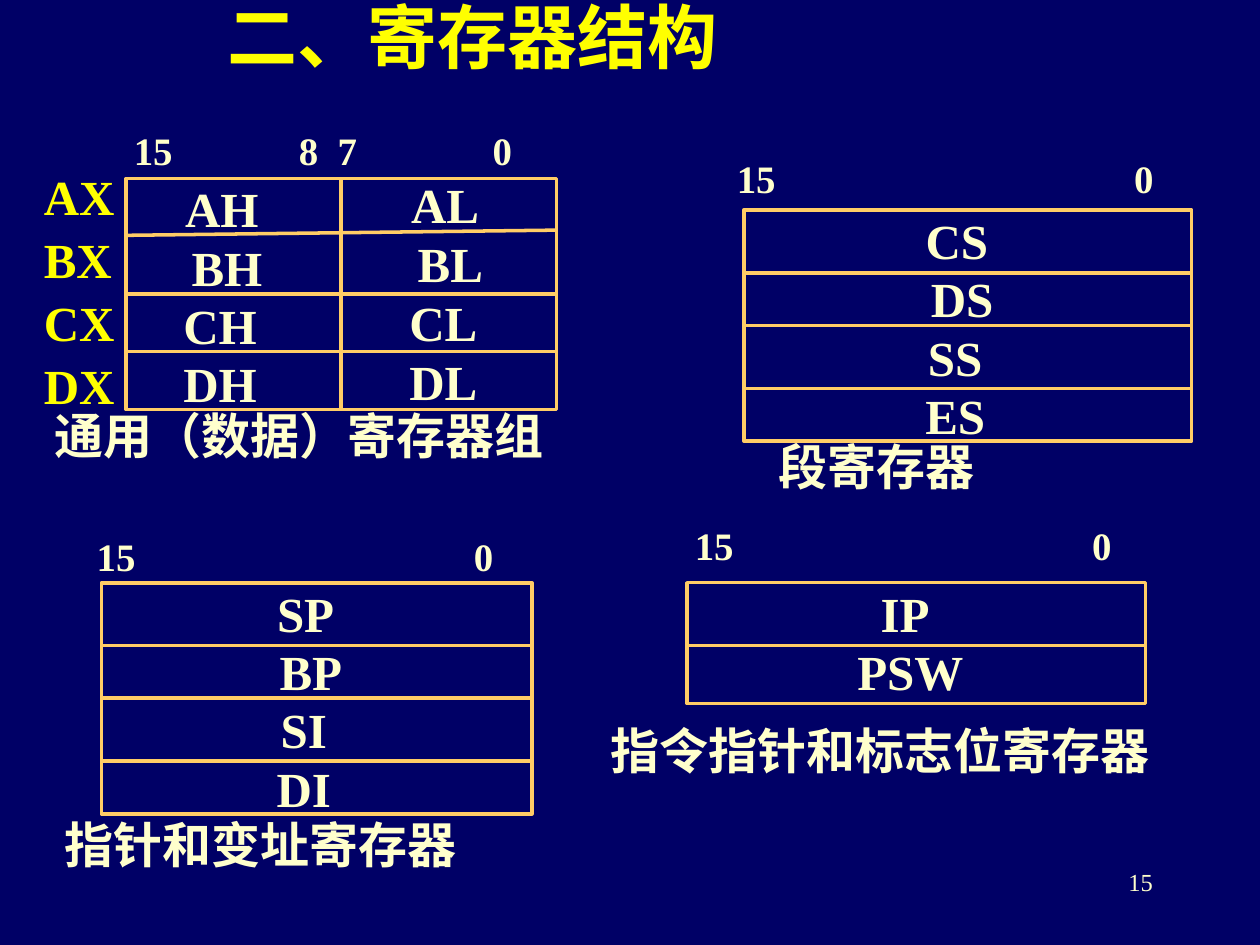
from pptx import Presentation
from pptx.dml.color import RGBColor
from pptx.enum.shapes import MSO_CONNECTOR as Link, MSO_SHAPE as Kind
from pptx.enum.text import MSO_ANCHOR as Anchor, MSO_AUTO_SIZE as Fit, PP_ALIGN as Align
from pptx.oxml.ns import qn
from pptx.util import Pt
from lxml.etree import SubElement

COLORS = {"back": "000066", "text": "FFFFCC", "head": "FFFF00", "line": "FFCC66"}
FONT = "Times New Roman"
PITCH = 33.3
SHIFTS = (0, 3, -1, -1)  # sideways offset of the name in each row


def color(name):
    return RGBColor.from_string(COLORS[name])


def write(frame, text, size=28, bold=True, tint="text", align=Align.LEFT,
          anchor=Anchor.TOP, wrap=True, lead=None, gap=0, tabs=()):
    """Fill a text frame, one paragraph for each line of text."""
    frame.word_wrap = wrap
    frame.auto_size = Fit.NONE
    frame.vertical_anchor = anchor
    for i, line in enumerate(text.split("\n")):
        para = frame.add_paragraph() if i else frame.paragraphs[0]
        para.text = line
        para.alignment = align
        if lead:
            para.line_spacing = lead
        para.space_before = Pt(gap if i else 0)
        if tabs:
            stops = SubElement(para._p.get_or_add_pPr(), qn("a:tabLst"))
            for pos in tabs:
                SubElement(stops, qn("a:tab"), pos=str(Pt(pos)), algn="l")
        font = para.font
        font.name, font.size, font.bold = FONT, Pt(size), bold
        font.color.rgb = color(tint)


class Deck:
    def __init__(self):
        self.show = Presentation()
        self.show.slide_width, self.show.slide_height = Pt(720), Pt(540)
        self.slide = self.show.slides.add_slide(self.show.slide_layouts[5])
        fill = self.slide.background.fill
        fill.solid()
        fill.fore_color.rgb = color("back")
        self.shapes = self.slide.shapes

    def title(self, text, x, y, w, h):
        head = self.shapes.title
        head.left, head.top, head.width, head.height = map(Pt, (x, y, w, h))
        write(head.text_frame, text, size=40, tint="head",
              align=Align.CENTER, anchor=Anchor.BOTTOM)

    def text(self, text, x, y, w, h, **style):
        box = self.shapes.add_textbox(Pt(x), Pt(y), Pt(w), Pt(h))
        write(box.text_frame, text, **style)

    def frame(self, x, y, w, h):
        box = self.shapes.add_shape(Kind.RECTANGLE, Pt(x), Pt(y), Pt(w), Pt(h))
        box.shadow.inherit = False
        box.fill.background()
        box.line.color.rgb = color("line")
        box.line.width = Pt(2)
        return box

    def line(self, x1, y1, x2, y2, box=None, sides=()):
        """Draw a line, joined to two sides of box if sides are given."""
        rule = self.shapes.add_connector(
            Link.STRAIGHT, Pt(x1), Pt(y1), Pt(x2), Pt(y2))
        rule.line.color.rgb = color("line")
        rule.line.width = Pt(2)
        SubElement(rule._element.spPr, qn("a:effectLst"))
        if sides:
            rule.begin_connect(box, sides[0])
            rule.end_connect(box, sides[1])

    def grid(self, x, y, w, h, rows):
        """Draw a frame split at rows, each a pair of left and right heights."""
        box = self.frame(x, y, w, h)
        for left, right in rows:
            mid = left == right == h / 2
            self.line(x, y + left, x + w, y + right, box, (1, 3) if mid else ())
        return box

    def names(self, words, mid, top, pitch=PITCH):
        for i, (word, shift) in enumerate(zip(words.split(), SHIFTS)):
            self.text(word, mid + shift - 30, top + i * pitch, 60, 41,
                      align=Align.CENTER, anchor=Anchor.MIDDLE, wrap=False)

    def bits(self, marks, x, y, tabs, lead=0.8):
        self.text("\t".join(marks.split()), x, y, tabs[-1] + 36, 30,
                  size=22.2, lead=lead, tabs=tabs)


def main():
    deck = Deck()
    deck.title("二、寄存器结构", 48, 12, 444, 36)

    # General registers
    deck.bits("15 8 7 0", 69.4, 72, (94.3, 116.5, 205), lead=0.9)
    box = deck.grid(72, 102, 246, 132, ((32.5, 29.5), (66, 66), (99, 99)))
    deck.line(195, 102, 195, 234, box, (0, 2))
    deck.names("AH BH CH DH", 126.7, 98.6)
    deck.names("AL BL CL DL", 254.3, 95.8, pitch=33.8)
    deck.text("AX\nBX\nCX\nDX", 18, 105, 78, 134, tint="head", lead=0.55, gap=17.5)

    # Single-column registers: names, frame, row lines, name centre, bit marks
    rows = ((36, 36), (66, 66), (102, 102))
    for words, x, y, w, h, count, mid, left, top, tab in (
            ("CS DS SS ES", 425, 120, 256, 132, 3, 546.8, 414, 90, 227),
            ("SP BP SI DI", 58, 333, 246, 132, 3, 174.6, 48.2, 306, 215.5),
            ("IP PSW", 392.5, 333, 262, 69, 1, 517.2, 390, 300, 227)):
        deck.bits("15 0", left, top, (tab,))
        deck.grid(x, y, w, h, rows[:count])
        deck.names(words, mid, y - 3.3)

    for text, x, y, w in (("通用（数据）寄存器组", 24, 228, 312),
                          ("段寄存器", 438, 246, 144),
                          ("指针和变址寄存器", 30, 462, 246),
                          ("指令指针和标志位寄存器", 342, 408, 330)):
        deck.text(text, x, y, w, 42)
    deck.text("15", 516, 492, 150, 36, size=14, bold=False, align=Align.RIGHT)
    deck.show.save("out.pptx")


if __name__ == "__main__":
    main()
